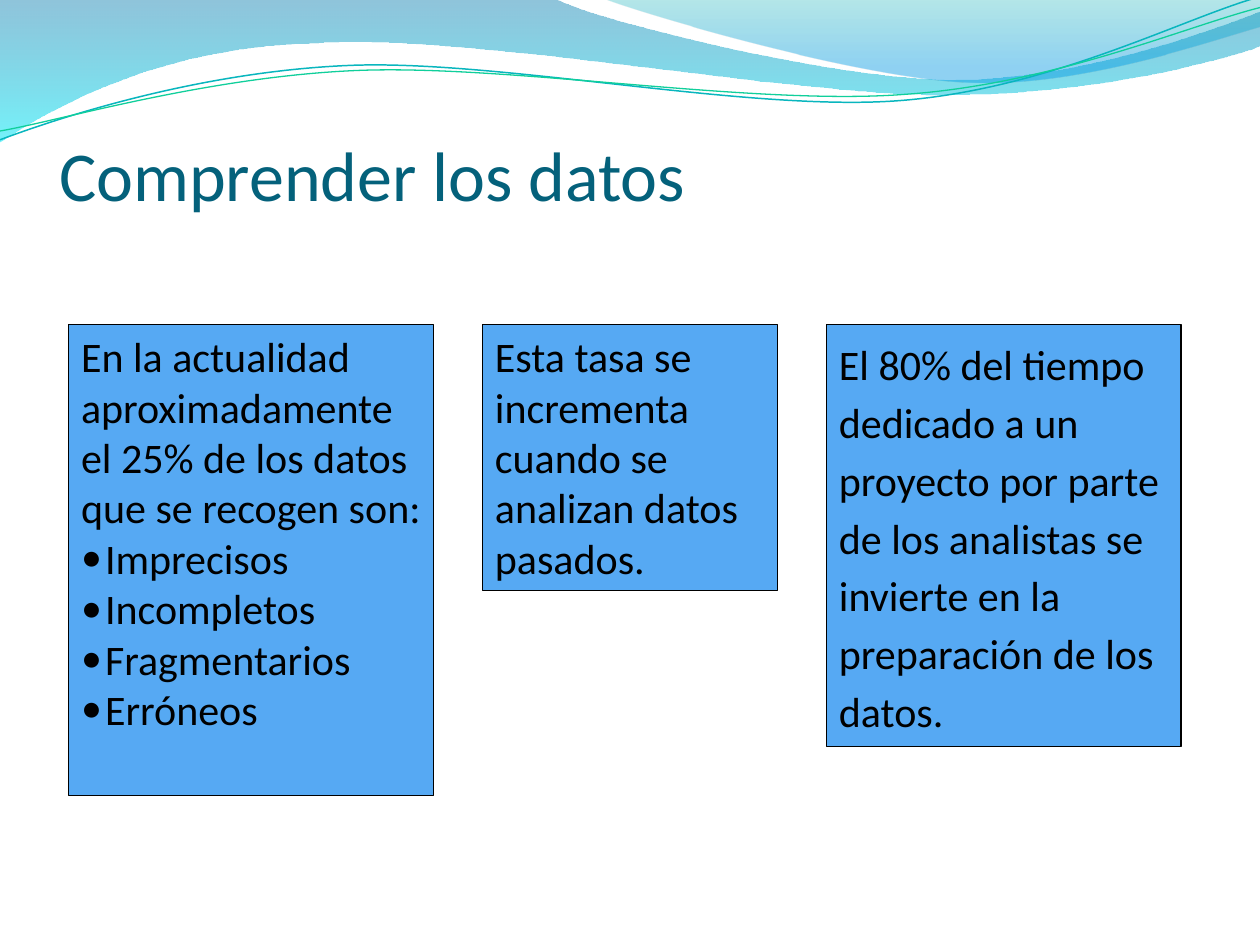
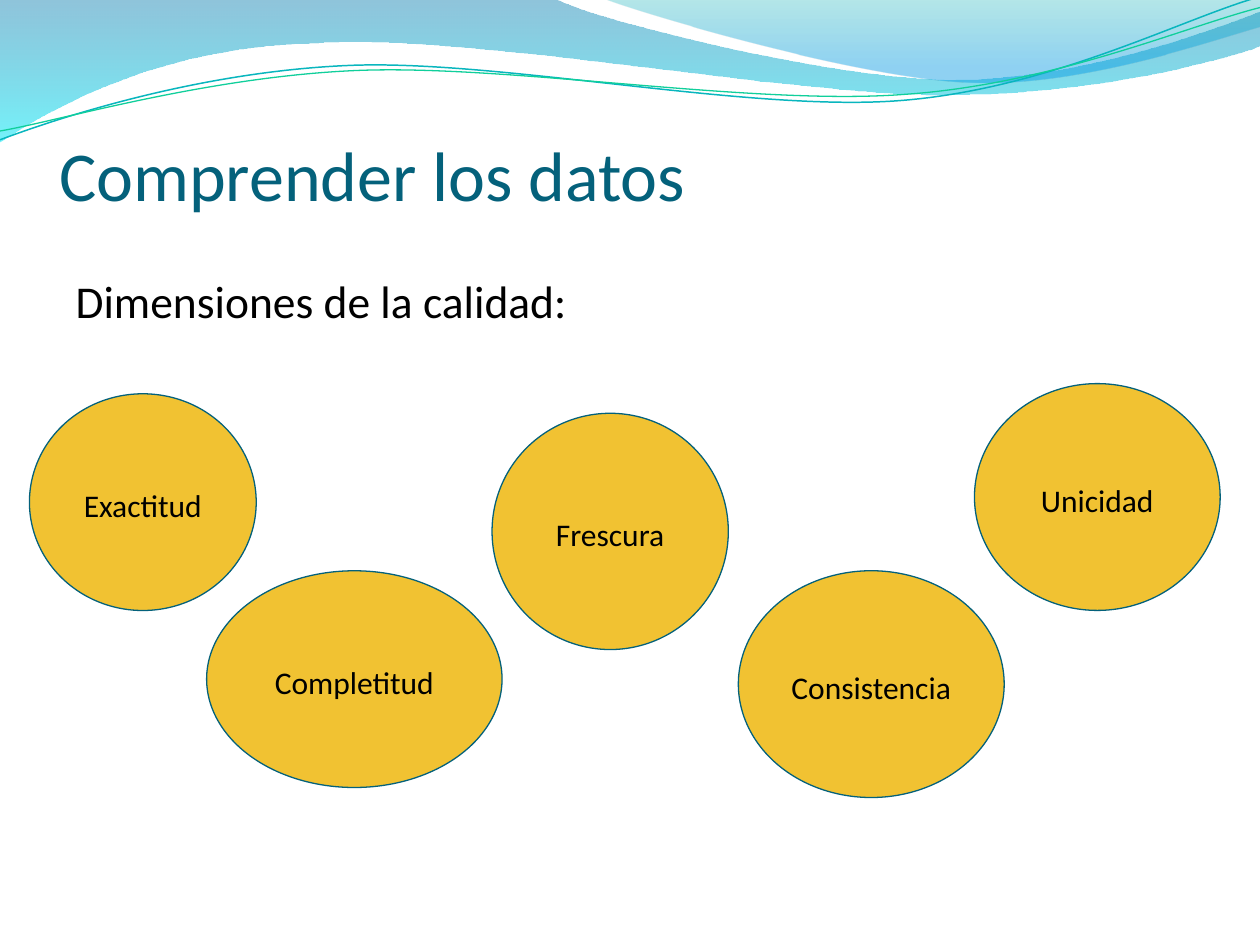
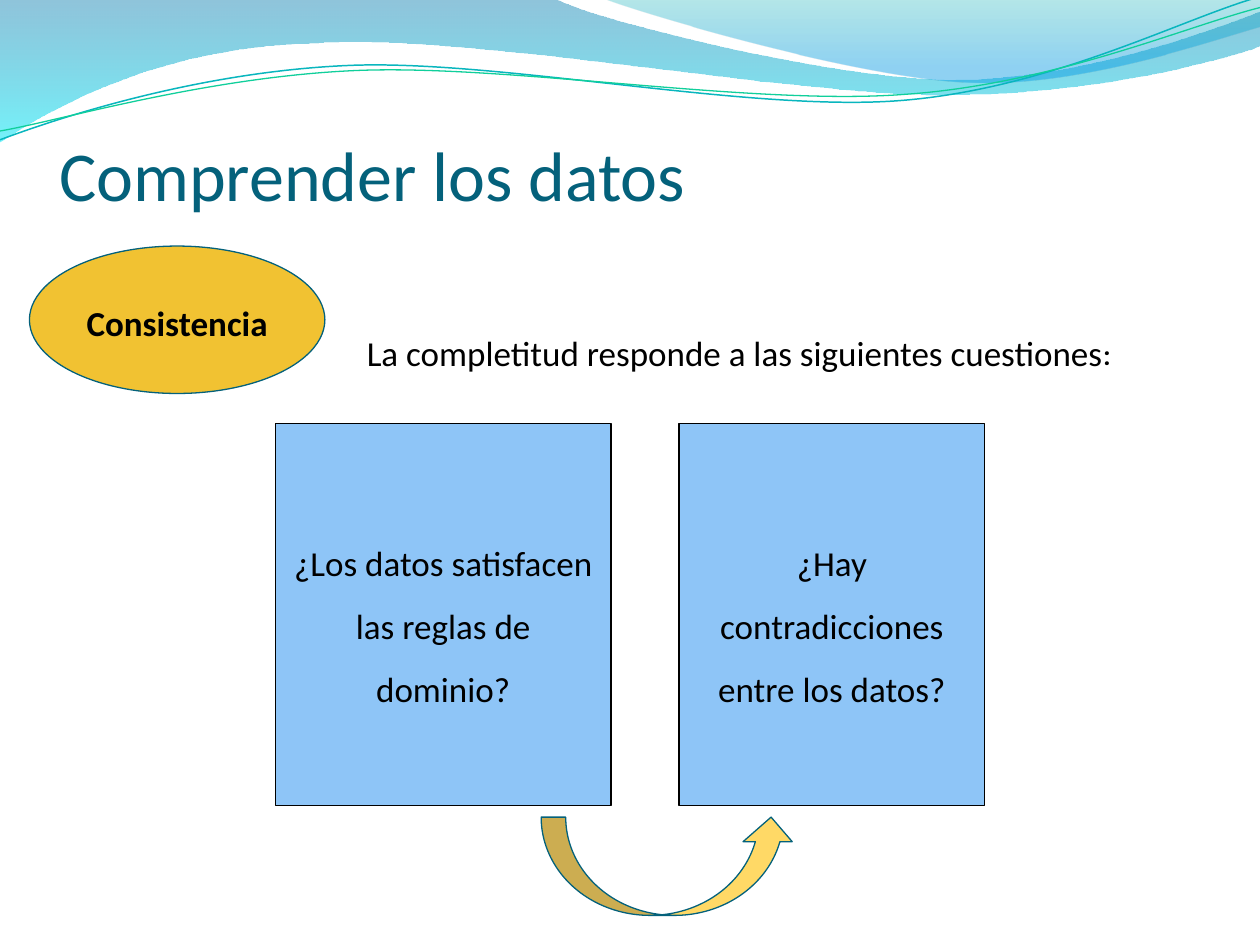
from dataclasses import dataclass
from typing import NamedTuple, Optional

from pptx import Presentation
from pptx.dml.color import RGBColor
from pptx.enum.shapes import MSO_SHAPE
from pptx.enum.text import MSO_ANCHOR, MSO_AUTO_SIZE, PP_ALIGN
from pptx.oxml import parse_xml
from pptx.oxml.ns import nsdecls, qn
from pptx.util import Emu, Inches, Pt

# Shared style: a grid of 100 columns by 75 rows covers the slide
SLIDE_WIDTH, SLIDE_HEIGHT = Inches(10), Inches(7.5)
COLUMN, ROW = SLIDE_WIDTH / 100, SLIDE_HEIGHT / 75
FONT = "Calibri"
BLACK, TEAL, GOLD, YELLOW = "000000", "04617B", "F1C232", "FFD966"
BLUE, LIGHT_BLUE = "56A9F3", "8EC5F7"
TITLE = "Comprender los datos"


class Area(NamedTuple):
    """Left, top, width and height in grid columns and rows."""
    left: float
    top: float
    width: float
    height: float

    def lengths(self) -> tuple:
        return (Emu(round(self.left * COLUMN)), Emu(round(self.top * ROW)),
                Emu(round(self.width * COLUMN)), Emu(round(self.height * ROW)))


class Stop(NamedTuple):
    position: int
    color: str
    opacity: int


@dataclass
class Wave:
    """A start point, then straight (2 numbers) or curved (6 numbers) pieces, in inches."""
    start: tuple
    pieces: list
    stops: tuple = ()
    line_color: str = ""
    line_width: float = 0


@dataclass
class Box:
    area: Area
    text: str
    fill: str
    kind: MSO_SHAPE = MSO_SHAPE.RECTANGLE
    size: float = 18
    bold: bool = False
    line_color: str = BLACK
    line_spacing: float = 1.0
    space_after: float = 0
    centered: bool = True
    bullets: tuple = ()


WAVES = (
    Wave((0, 0), [(4.4, -0.01), (4.76, 0.17, 6.64, 0.63, 7.58, 0.63),
                  (8.53, 0.63, 9.58, 0.26, 10, 0.09), (10.01, 0.36),
                  (9.83, 0.44, 8.7, 0.76, 7.46, 0.75),
                  (6.22, 0.75, 3.82, 0.28, 2.57, 0.34),
                  (1.29, 0.36, 0.46, 0.83, -0.01, 1.13), (0, 0)],
         stops=(Stop(0, "0079AD", 44), Stop(100, "00E9F7", 55))),
    Wave((4.79, -0.01), [(5.09, 0.11, 6.82, 0.62, 7.69, 0.65),
                         (8.56, 0.69, 9.61, 0.32, 10, 0.21), (10, 0), (4.79, -0.01)],
         stops=(Stop(0, "00ABB4", 29), Stop(80, "0099E4", 44), Stop(100, "0099E4", 44))),
    Wave((0, 1.11), [(0.48, 0.93, 1.58, 0.57, 2.77, 0.52),
                     (3.95, 0.47, 5.93, 0.89, 7.13, 0.8),
                     (8.33, 0.71, 9.38, 0.15, 9.98, -0.02)],
         line_color="09B6BE", line_width=0.85),
    Wave((0, 1.04), [(0.47, 0.96, 1.64, 0.61, 2.83, 0.56),
                     (4.03, 0.51, 5.97, 0.84, 7.17, 0.75),
                     (8.36, 0.67, 9.41, 0.21, 10, 0.06)],
         line_color="10CF9B", line_width=0.75),
)


def rgb(color: str) -> RGBColor:
    return RGBColor.from_string(color)


def format_runs(paragraph, size: float, color: str = BLACK, bold: bool = False) -> None:
    for run in paragraph.runs:
        run.font.name, run.font.size, run.font.bold = FONT, Pt(size), bold
        run.font.color.rgb = rgb(color)


def set_margins(text_frame, left: float, top: float, right: float, bottom: float) -> None:
    text_frame.margin_left, text_frame.margin_right = Inches(left), Inches(right)
    text_frame.margin_top, text_frame.margin_bottom = Inches(top), Inches(bottom)


def place(shape, area: Area) -> None:
    shape.left, shape.top, shape.width, shape.height = area.lengths()


def set_bullet(paragraph, indent: float, character: Optional[str] = None) -> None:
    """Hang the paragraph by the indent in inches, with or without a bullet."""
    properties = paragraph._p.get_or_add_pPr()
    properties.set("marL", str(Inches(indent)))
    properties.set("indent", str(-Inches(indent)))
    namespace = nsdecls("a")
    if character:
        properties.append(parse_xml(
            f'<a:buClr {namespace}><a:srgbClr val="{BLACK}"/></a:buClr>'))
        properties.append(parse_xml(f'<a:buFont {namespace} typeface="{FONT}"/>'))
        properties.append(parse_xml(f'<a:buChar {namespace} char="{character}"/>'))
    else:
        properties.append(parse_xml(f"<a:buNone {namespace}/>"))


# Wave band
def curve_pieces(shape, wave: Wave) -> None:
    """Turn the straight segments of the curved pieces into cubic curves."""
    segments = list(shape.element.iter(qn("a:lnTo")))
    for segment, piece in zip(segments, wave.pieces):
        if len(piece) == 2:
            continue
        points = "".join(
            f'<a:pt x="{Inches(x) - shape.left}" y="{Inches(y) - shape.top}"/>'
            for x, y in zip(piece[::2], piece[1::2]))
        segment.getparent().replace(segment, parse_xml(
            f'<a:cubicBezTo {nsdecls("a")}>{points}</a:cubicBezTo>'))


def fill_gradient(shape, stops: tuple) -> None:
    shape.fill.solid()
    solid = shape.element.spPr.find(qn("a:solidFill"))
    stop_xml = "".join(
        f'<a:gs pos="{stop.position * 1000}"><a:srgbClr val="{stop.color}">'
        f'<a:alpha val="{stop.opacity * 1000}"/></a:srgbClr></a:gs>' for stop in stops)
    solid.getparent().replace(solid, parse_xml(
        f'<a:gradFill {nsdecls("a")}><a:gsLst>{stop_xml}</a:gsLst>'
        '<a:lin ang="5400000" scaled="0"/></a:gradFill>'))


def add_waves_to_master(presentation, slide) -> None:
    """Build the waves on a slide, then move them behind the master's placeholders."""
    master_tree = presentation.slide_master.shapes.element
    for index, wave in enumerate(WAVES):
        builder = slide.shapes.build_freeform(*(Inches(value) for value in wave.start))
        builder.add_line_segments(
            [(Inches(piece[-2]), Inches(piece[-1])) for piece in wave.pieces],
            close=bool(wave.stops))
        shape = builder.convert_to_shape()
        curve_pieces(shape, wave)
        shape.shadow.inherit = False
        if wave.stops:
            fill_gradient(shape, wave.stops)
            shape.line.fill.background()
        else:
            shape.fill.background()
            shape.line.color.rgb = rgb(wave.line_color)
            shape.line.width = Pt(wave.line_width)
        master_tree.insert(2 + index, shape.element)


# Slide parts
def add_titled_slide(presentation, layout_name: str):
    slide = presentation.slides.add_slide(presentation.slide_layouts.get_by_name(layout_name))
    title = slide.shapes.title
    place(title, Area(4.7, 9.4, 90, 7.7))
    text_frame = title.text_frame
    text_frame.text = TITLE
    text_frame.vertical_anchor = MSO_ANCHOR.BOTTOM
    set_margins(text_frame, 0, 0.05, 0, 0)
    text_frame.paragraphs[0].alignment = PP_ALIGN.LEFT
    format_runs(text_frame.paragraphs[0], 40, TEAL)
    return slide


def add_filled_shape(slide, kind: MSO_SHAPE, area: Area, fill: str, line_color: str):
    shape = slide.shapes.add_shape(kind, *area.lengths())
    shape.shadow.inherit = False
    shape.fill.solid()
    shape.fill.fore_color.rgb = rgb(fill)
    shape.line.color.rgb = rgb(line_color)
    shape.line.width = Pt(0.75)
    return shape


def add_box(slide, box: Box) -> None:
    shape = add_filled_shape(slide, box.kind, box.area, box.fill, box.line_color)
    text_frame = shape.text_frame
    text_frame.word_wrap = True
    text_frame.text = "\n".join((box.text, *box.bullets))
    vertical_margin = 0.1 if box.centered else 0.05
    set_margins(text_frame, 0.1, vertical_margin, 0.1, vertical_margin)
    text_frame.vertical_anchor = MSO_ANCHOR.MIDDLE if box.centered else MSO_ANCHOR.TOP
    if not box.centered:
        text_frame.auto_size = MSO_AUTO_SIZE.SHAPE_TO_FIT_TEXT
    for index, paragraph in enumerate(text_frame.paragraphs):
        if index:
            set_bullet(paragraph, 0.19, "•")
        paragraph.alignment = PP_ALIGN.CENTER if box.centered else PP_ALIGN.LEFT
        paragraph.line_spacing = box.line_spacing
        paragraph.space_after = Pt(box.space_after)
        format_runs(paragraph, box.size, bold=box.bold)


def add_card_row(slide, left: float, top: float, gap: float, cards: list, **style) -> None:
    """Cards are (width, height, text, own style), set side by side with equal gaps."""
    for width, height, text, own_style in cards:
        add_box(slide, Box(Area(left, top, width, height), text, **style, **own_style))
        left += width + gap


def add_dimension(slide, area: Area, text: str, size: float = 18, bold: bool = False) -> None:
    add_box(slide, Box(area, text, GOLD, MSO_SHAPE.OVAL, size, bold, TEAL,
                       line_spacing=1.15, space_after=16))


# Slides
def build_data_problems(presentation) -> None:
    slide = add_titled_slide(presentation, "Title Only")
    add_waves_to_master(presentation, slide)
    add_card_row(slide, 5.45, 25.75, 3.9, [
        (28.95, 37.4, "En la actualidad aproximadamente el 25% de los datos que se recogen son:",
         {"bullets": ("Imprecisos", "Incompletos", "Fragmentarios", "Erróneos")}),
        (23.4, 21.1, "Esta tasa se incrementa cuando se analizan datos pasados.", {}),
        (28.15, 33.5, "El 80% del tiempo dedicado a un proyecto por parte de los analistas "
         "se invierte en la preparación de los datos.", {"line_spacing": 1.15}),
    ], fill=BLUE, size=24, centered=False)


def build_quality_dimensions(presentation) -> None:
    slide = add_titled_slide(presentation, "Title and Content")
    body = slide.placeholders[1]
    place(body, Area(5, 21.2, 48.1, 7))
    body.text_frame.text = "Dimensiones de la calidad:"
    set_margins(body.text_frame, 0.1, 0.05, 0.1, 0.05)
    paragraph = body.text_frame.paragraphs[0]
    set_bullet(paragraph, 0.3)
    paragraph.space_before = Pt(0)
    format_runs(paragraph, 26)
    for area, text in (
        (Area(2.34, 31.25, 18, 17.2), "Exactitud"),
        (Area(77.34, 30.45, 19.5, 18), "Unicidad"),
        (Area(58.6, 45.3, 21.1, 18), "Consistencia"),
        (Area(39.05, 32.8, 18.75, 18.75), "Frescura"),
        (Area(16.4, 45.3, 23.45, 17.2), "Completitud"),
    ):
        add_dimension(slide, area, text)


def build_consistency(presentation) -> None:
    slide = add_titled_slide(presentation, "Title Only")
    add_filled_shape(slide, MSO_SHAPE.CURVED_UP_ARROW, Area(42.95, 64.85, 20.2, 7.8),
                     YELLOW, TEAL)
    add_card_row(slide, 21.85, 33.6, 5.4, [
        (26.65, 30.35, "¿Los datos satisfacen las reglas de dominio?", {}),
        (24.25, 30.35, "¿Hay contradicciones entre los datos?", {}),
    ], fill=LIGHT_BLUE, size=20, line_spacing=1.5)

    introduction = slide.shapes.add_textbox(*Area(28.13, 25.8, 68, 4.4).lengths())
    text_frame = introduction.text_frame
    text_frame.word_wrap = True
    text_frame.auto_size = MSO_AUTO_SIZE.SHAPE_TO_FIT_TEXT
    text_frame.text = "La completitud responde a las siguientes cuestiones"
    paragraph = text_frame.paragraphs[0]
    colon = paragraph.add_run()
    colon.text = ":"
    format_runs(paragraph, 20)
    colon.font.name = "Vollkorn"

    add_dimension(slide, Area(2.34, 19.53, 23.45, 11.7), "Consistencia", 20, True)


def main() -> None:
    presentation = Presentation()
    presentation.slide_width, presentation.slide_height = SLIDE_WIDTH, SLIDE_HEIGHT
    build_data_problems(presentation)
    build_quality_dimensions(presentation)
    build_consistency(presentation)
    presentation.save("out.pptx")


if __name__ == "__main__":
    main()
